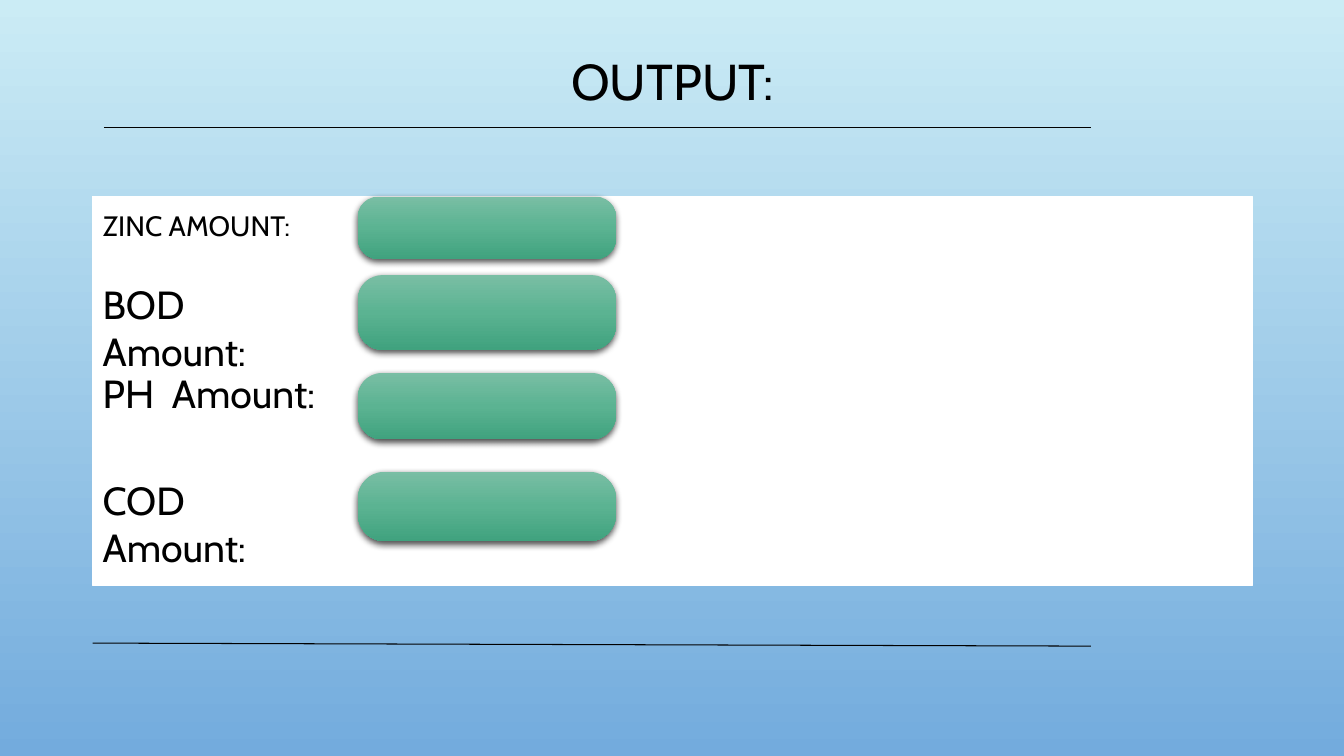
import copy

import pptx
import pptx.util
import pptx.dml.color
import pptx.enum.shapes
import pptx.enum.text
import pptx.oxml
import pptx.oxml.ns

HEADING = "OUTPUT:"
FIRST_LABEL = "ZINC AMOUNT:"
READINGS = [
    {"label": None, "top": 1.95, "height": 0.62, "round": 0.33},
    {"label": "BOD Amount:", "top": 2.73, "height": 0.74, "round": 0.33},
    {"label": "PH  Amount:", "label_top": 3.61, "top": 3.7, "height": 0.66, "round": 0.37},
    {"label": "COD Amount:", "top": 4.68, "height": 0.69, "round": 0.39},
]
COLORS = {"ink": "000000", "panel": "FFFFFF"}
SKY = [(0, "CBECF5"), (100, "73ABDD")]
GREEN = [(0, "79BEA4"), (50, "5BB392"), (100, "40A27E")]
FONT = "Cabin"

WIDTH, HEIGHT = 13.33, 7.5
MARGIN = 0.92
CONTENT_WIDTH = WIDTH - 2 * MARGIN + 0.01
LABEL_WIDTH, LABEL_HEIGHT = 2.46, 0.57
VALUE_LEFT, VALUE_WIDTH = 3.55, 2.56
RULE_RIGHT = 10.82
RULES = [(1.03, 1.27, RULE_RIGHT, 1.27), (MARGIN, 6.38, RULE_RIGHT, 6.41)]

LABEL_FRAME = {"word_wrap": True, "auto_size": pptx.enum.text.MSO_AUTO_SIZE.SHAPE_TO_FIT_TEXT}
TITLE_FRAME = {"word_wrap": True, "auto_size": pptx.enum.text.MSO_AUTO_SIZE.NONE,
               "vertical_anchor": pptx.enum.text.MSO_ANCHOR.MIDDLE}
PANEL_FRAME = {**TITLE_FRAME, "vertical_anchor": pptx.enum.text.MSO_ANCHOR.TOP}
TITLE_PARAGRAPH = {"alignment": pptx.enum.text.PP_ALIGN.CENTER, "line_spacing": 0.9}
PANEL_PARAGRAPH = {"line_spacing": 1.2, "space_before": pptx.util.Pt(10)}

SHADOW = (
    '<a:outerShdw %s blurRad="63500" dist="25400" dir="5400000" rotWithShape="0">'
    '<a:srgbClr val="000000"><a:alpha val="69000"/></a:srgbClr></a:outerShdw>'
    % pptx.oxml.ns.nsdecls("a")
)


def inches(*lengths):
    return [pptx.util.Inches(length) for length in lengths]


def rgb(name):
    return pptx.dml.color.RGBColor.from_string(COLORS[name])


def apply(target, values):
    for key, value in values.items():
        setattr(target, key, value)


def place(shape, *box):
    apply(shape, dict(zip(("left", "top", "width", "height"), inches(*box))))


def write(shape, text, size, frame_format, paragraph_format):
    frame = shape.text_frame
    apply(frame, frame_format)
    paragraph = frame.paragraphs[0]
    apply(paragraph, paragraph_format)
    run = paragraph.add_run()
    run.text = text
    apply(run.font, {"name": FONT, "size": pptx.util.Pt(size)})
    run.font.color.rgb = rgb("ink")
    return paragraph


def shade(fill, element, colors):
    fill.gradient()
    fill.gradient_angle = 270
    stop_list = next(element.iter(pptx.oxml.ns.qn("a:gsLst")))
    for _ in colors[2:]:
        stop_list.append(copy.deepcopy(stop_list[0]))
    for stop, (position, color) in zip(fill.gradient_stops, colors):
        stop.position = position / 100
        stop.color.rgb = pptx.dml.color.RGBColor.from_string(color)


def add_value_box(slide, reading):
    box = slide.shapes.add_shape(
        pptx.enum.shapes.MSO_SHAPE.ROUNDED_RECTANGLE,
        *inches(VALUE_LEFT, reading["top"], VALUE_WIDTH, reading["height"]))
    box.adjustments[0] = reading["round"]
    shade(box.fill, box.element, GREEN)
    box.line.fill.background()
    box.shadow.inherit = False
    effects = next(box.element.iter(pptx.oxml.ns.qn("a:effectLst")))
    effects.append(pptx.oxml.parse_xml(SHADOW))


def add_rule(slide, ends):
    rule = slide.shapes.add_connector(
        pptx.enum.shapes.MSO_CONNECTOR.STRAIGHT, *inches(*ends))
    rule.line.color.rgb = rgb("ink")
    rule.line.width = pptx.util.Pt(0.75)
    effects = pptx.oxml.parse_xml("<a:effectLst %s/>" % pptx.oxml.ns.nsdecls("a"))
    rule.element.spPr.append(effects)


def main():
    deck = pptx.Presentation()
    deck.slide_width, deck.slide_height = inches(WIDTH, HEIGHT)
    slide = deck.slides.add_slide(deck.slide_layouts[1])
    shade(slide.background.fill, slide.element, SKY)

    title, panel = slide.placeholders
    place(title, MARGIN, 0.4, CONTENT_WIDTH, 0.87)
    write(title, HEADING, 36, TITLE_FRAME, TITLE_PARAGRAPH)

    place(panel, MARGIN, READINGS[0]["top"], CONTENT_WIDTH, 3.86)
    panel.fill.solid()
    panel.fill.fore_color.rgb = rgb("panel")
    panel.line.color.rgb = rgb("panel")
    panel.line.width = pptx.util.Pt(0.75)
    paragraph = write(panel, FIRST_LABEL, 20, PANEL_FRAME, PANEL_PARAGRAPH)
    properties = paragraph._p.get_or_add_pPr()
    properties.set("marL", "0")
    properties.set("indent", "0")
    properties.append(pptx.oxml.parse_xml("<a:buNone %s/>" % pptx.oxml.ns.nsdecls("a")))

    for reading in READINGS:
        if reading["label"]:
            top = reading.get("label_top", reading["top"])
            label = slide.shapes.add_textbox(*inches(MARGIN, top, LABEL_WIDTH, LABEL_HEIGHT))
            write(label, reading["label"], 28, LABEL_FRAME, {})
        add_value_box(slide, reading)

    for ends in RULES:
        add_rule(slide, ends)

    deck.save("out.pptx")


if __name__ == "__main__":
    main()
